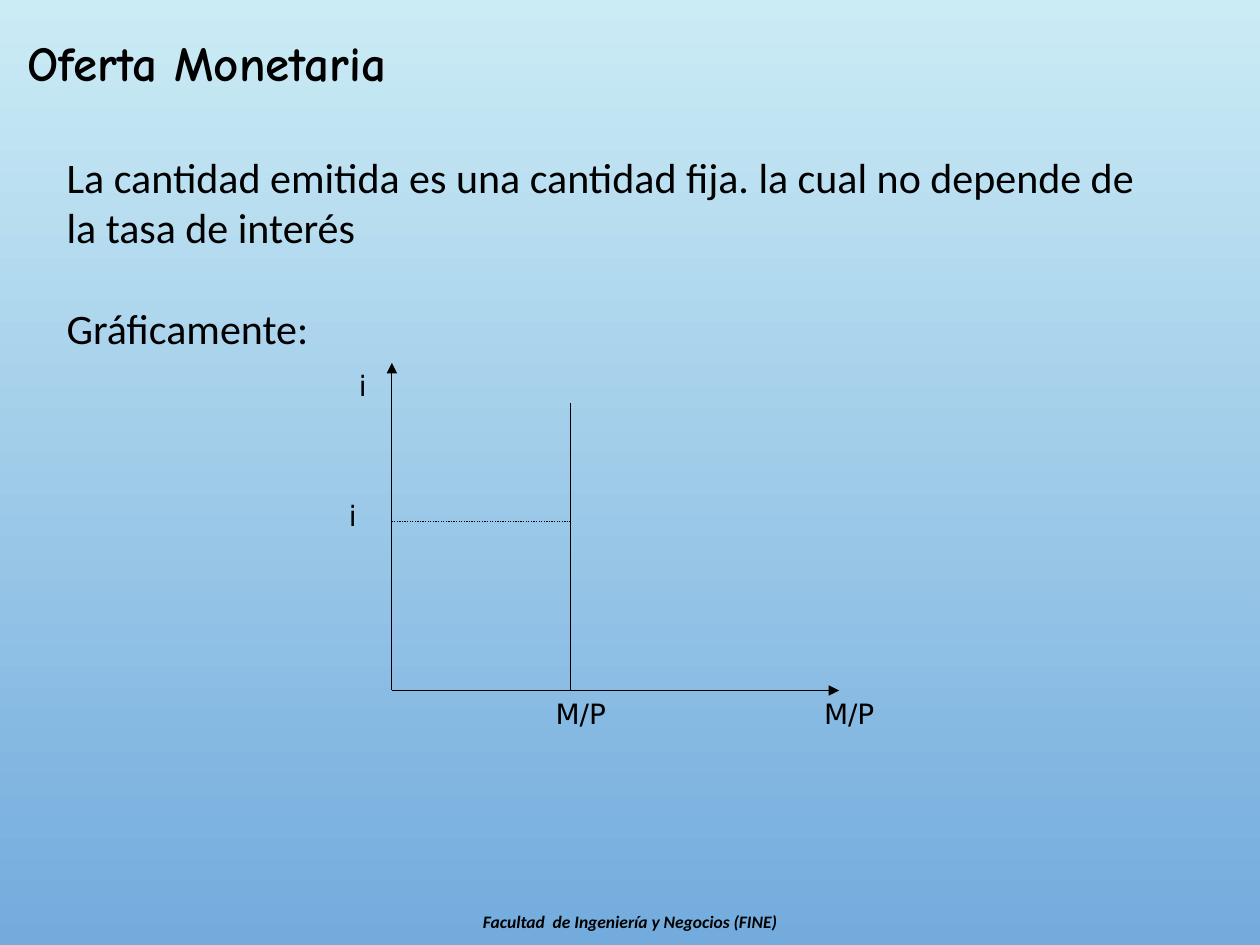
import pptx
import pptx.dml.color
import pptx.enum.dml
import pptx.enum.shapes
import pptx.enum.text
import pptx.oxml.ns
import pptx.util
from lxml import etree
from pptx.util import Inches

BLACK = "000000"
CENTER = pptx.enum.text.PP_ALIGN.CENTER
LEFT = pptx.enum.text.PP_ALIGN.LEFT


def color(hex_value):
    return pptx.dml.color.RGBColor.from_string(hex_value)


def add_text(slide, box, paragraphs, font_format, align=LEFT, gap=0):
    """Place paragraphs in a box, with a gap in points between them."""
    frame = slide.shapes.add_textbox(*map(Inches, box)).text_frame
    frame.word_wrap = True
    for index, words in enumerate(paragraphs):
        paragraph = frame.paragraphs[0] if index == 0 else frame.add_paragraph()
        paragraph.alignment = align
        if index:
            paragraph.space_before = pptx.util.Pt(gap)
        run = paragraph.add_run()
        run.text = words
        for name, value in font_format.items():
            setattr(run.font, name, value)
        run.font.color.rgb = color(BLACK)


def add_line(slide, start, end, arrow=False, dash=None):
    line = slide.shapes.add_connector(
        pptx.enum.shapes.MSO_CONNECTOR.STRAIGHT, *map(Inches, start + end))
    line.line.color.rgb = color(BLACK)
    line.line.width = pptx.util.Pt(0.75)
    if dash:
        line.line.dash_style = dash
    properties = line._element.spPr
    if arrow:
        outline = properties.find(pptx.oxml.ns.qn("a:ln"))
        etree.SubElement(outline, pptx.oxml.ns.qn("a:tailEnd"), type="triangle")
    etree.SubElement(properties, pptx.oxml.ns.qn("a:effectLst"))


def paint_background(slide, top_color, bottom_color):
    fill = slide.background.fill
    fill.gradient()
    fill.gradient_angle = 270
    for stop, position, hex_value in zip(
            fill.gradient_stops, (0, 1), (top_color, bottom_color)):
        stop.position = position
        stop.color.rgb = color(hex_value)


def add_title(slide, box):
    add_text(slide, box, ["Oferta Monetaria"],
             {"name": "Comic Neue", "size": pptx.util.Pt(28), "bold": True})


def add_explanation(slide, box):
    add_text(slide, box,
             ["La cantidad emitida es una cantidad fija. la cual no depende de "
              "la tasa de interés", "Gráficamente:"],
             {"name": "Calibri", "size": pptx.util.Pt(24)}, gap=29)


def add_money_supply_graph(slide, box):
    """Vertical money supply, in a box spanned by the two axes."""
    left, top, width, height = box
    right, bottom = left + width, top + height
    supply_x = left + 0.4 * width
    rate_y = top + 1.26

    # Axes
    add_line(slide, (left, bottom), (left, top), arrow=True)
    add_line(slide, (left, bottom), (right, bottom), arrow=True)

    # Supply line and interest rate level
    add_line(slide, (supply_x, bottom), (supply_x, top + 0.32))
    add_line(slide, (supply_x, rate_y), (left, rate_y),
             dash=pptx.enum.dml.MSO_LINE.ROUND_DOT)

    # Labels: words, centre and top
    label_format = {"name": "DejaVu Sans", "size": pptx.util.Pt(16)}
    label_width = 0.8
    for words, center, label_top in (
            ("i", left - 0.23, top),
            ("i", left - 0.31, rate_y - 0.23),
            ("M/P", supply_x + 0.08, bottom),
            ("M/P", right + 0.08, bottom)):
        add_text(slide, (center - label_width / 2, label_top, label_width, 0.37),
                 [words], label_format, CENTER)


def add_footer(slide, box):
    add_text(slide, box, ["Facultad  de Ingeniería y Negocios (FINE)"],
             {"name": "Calibri", "size": pptx.util.Pt(10),
              "bold": True, "italic": True}, CENTER)


def main():
    deck = pptx.Presentation()
    deck.slide_width, deck.slide_height = Inches(10), Inches(7.5)
    slide = deck.slides.add_slide(deck.slide_layouts[6])
    paint_background(slide, "CBECF5", "73ABDD")
    add_title(slide, (0.12, 0.21, 6.83, 0.57))
    add_explanation(slide, (0.43, 1.15, 8.82, 1.72))
    add_money_supply_graph(slide, (3.11, 2.88, 3.55, 2.6))
    add_footer(slide, (2.56, 7.18, 4.88, 0.27))
    deck.save("out.pptx")


if __name__ == "__main__":
    main()
